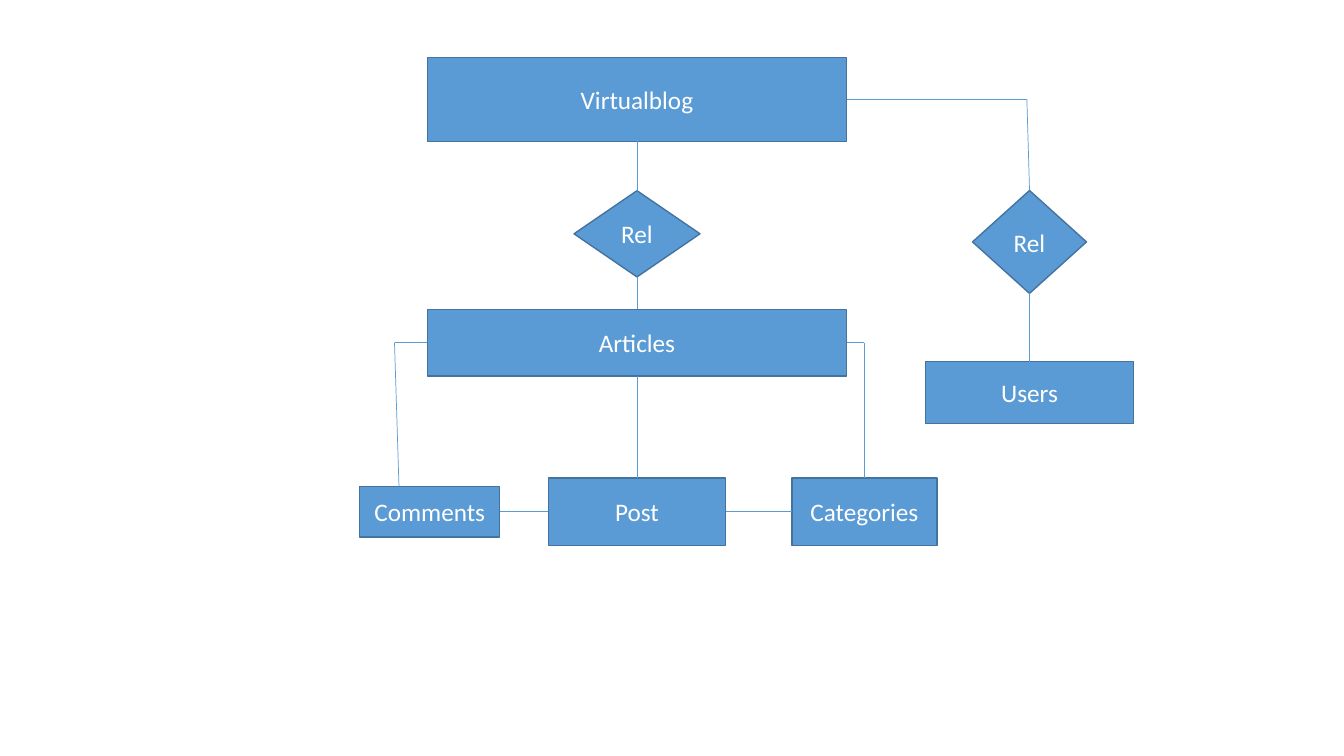
from lxml.etree import SubElement
from pptx import Presentation
from pptx.dml.color import RGBColor
from pptx.enum.shapes import MSO_CONNECTOR, MSO_SHAPE
from pptx.enum.text import MSO_ANCHOR, PP_ALIGN
from pptx.oxml.ns import qn
from pptx.util import Pt

TOP, LEFT, BOTTOM, RIGHT = range(4)


def color(value):
    return RGBColor.from_string(value)


def write(tf, text, font="Calibri", size=18, fill="FFFFFF", align=PP_ALIGN.CENTER):
    tf.word_wrap = True
    tf.vertical_anchor = MSO_ANCHOR.MIDDLE
    p = tf.paragraphs[0]
    p.alignment = align
    r = p.add_run()
    r.text = text
    r.font.name = font
    r.font.size = Pt(size)
    r.font.color.rgb = color(fill)


class Diagram:
    fill = "5B9BD5"
    border = "43739E"

    def __init__(self, s):
        self.s = s

    def node(self, text, cx, cy, w, h, kind=MSO_SHAPE.RECTANGLE):
        sp = self.s.shapes.add_shape(
            kind, Pt(cx - w / 2), Pt(cy - h / 2), Pt(w), Pt(h))
        sp.shadow.inherit = False
        sp.fill.solid()
        sp.fill.fore_color.rgb = color(self.fill)
        sp.line.color.rgb = color(self.border)
        sp.line.width = Pt(1)
        write(sp.text_frame, text)
        return sp

    def rel(self, cx, cy, w, h):
        return self.node("Rel", cx, cy, w, h, MSO_SHAPE.DIAMOND)

    def line(self, x1=0, y1=0, x2=0, y2=0, start=None, end=None):
        c = self.s.shapes.add_connector(
            MSO_CONNECTOR.STRAIGHT, Pt(x1), Pt(y1), Pt(x2), Pt(y2))
        c.line.color.rgb = color(self.fill)
        c.line.width = Pt(0.5)
        SubElement(c._element.spPr, qn("a:effectLst"))
        if start:
            c.begin_connect(*start)
        if end:
            c.end_connect(*end)


def main():
    prs = Presentation()
    prs.slide_width, prs.slide_height = Pt(960), Pt(540)
    d = Diagram(prs.slides.add_slide(prs.slide_layouts[6]))

    main_x, users_x, categories_x = 455, 735.4, 617.4
    blog_y, articles_y, bottom_y = 71, 244.8, 365.5

    blog = d.node("Virtualblog", main_x, blog_y, 299.5, 60)
    articles = d.node("Articles", main_x, articles_y, 299.5, 47.5)
    articles_rel = d.rel(main_x, 167, 90, 61.6)
    users_rel = d.rel(users_x, 172.8, 81.4, 73.5)
    users = d.node("Users", users_x, 280.4, 149, 44)
    post = d.node("Post", main_x, bottom_y, 126.7, 48.4)
    categories = d.node("Categories", categories_x, bottom_y, 103.6, 48.4)
    comments = d.node("Comments", 307, bottom_y, 100, 36)

    for upper, lower in ((blog, articles_rel), (articles_rel, articles),
                         (users_rel, users), (articles, post)):
        d.line(start=(upper, BOTTOM), end=(lower, TOP))
    for left, right in ((comments, post), (post, categories)):
        d.line(start=(left, RIGHT), end=(right, LEFT))

    for node, side, x, y in ((blog, RIGHT, 733.5, blog_y),
                             (articles, RIGHT, categories_x, articles_y),
                             (articles, LEFT, 281.8, articles_y)):
        d.line(x2=x, y2=y, start=(node, side))
    d.line(733.5, blog_y, end=(users_rel, TOP))
    d.line(categories_x, articles_y, end=(categories, TOP))
    d.line(281.8, articles_y, 285, bottom_y - 18)

    prs.save("out.pptx")


if __name__ == "__main__":
    main()
